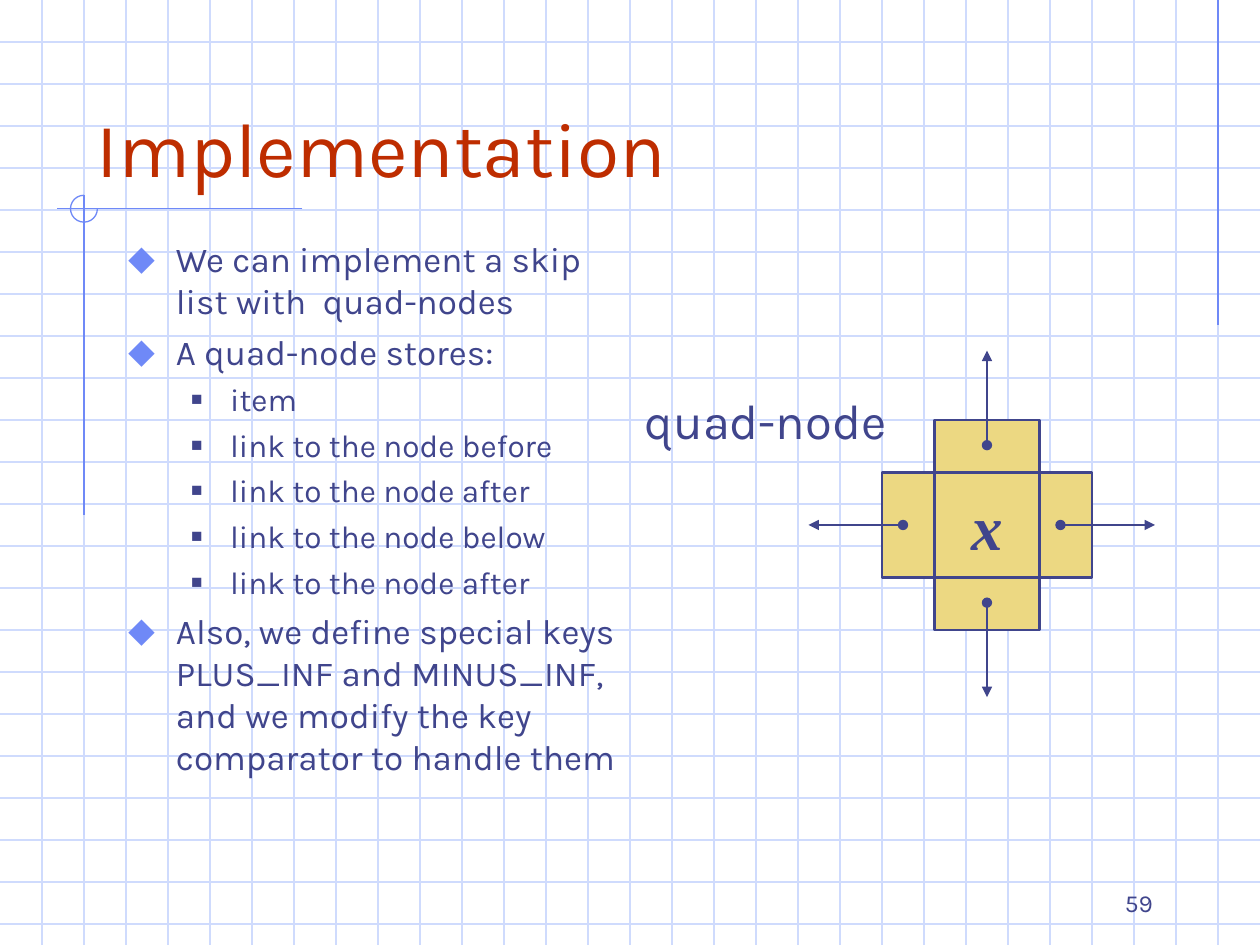
from dataclasses import dataclass
from typing import Any, NamedTuple

from lxml.etree import SubElement
from pptx import Presentation
from pptx.dml.color import RGBColor
from pptx.enum.shapes import MSO_CONNECTOR, MSO_SHAPE
from pptx.enum.text import MSO_ANCHOR, MSO_AUTO_SIZE, PP_ALIGN
from pptx.oxml.ns import qn
from pptx.util import Inches, Pt


@dataclass(frozen=True)
class Theme:
    grid: str = "CFDBFD"
    accent: str = "6F89F7"
    heading: str = "BE2D00"
    ink: str = "40458C"
    node: str = "ECD882"
    font: str = "Karla"
    symbol_font: str = "Times New Roman"
    title_size: float = 44
    symbol_size: float = 36
    label_size: float = 28
    number_size: float = 14
    thin: float = 0.75
    thick: float = 1.5


class Area(NamedTuple):
    column: float
    row: float
    columns: float
    rows: float


class Segment(NamedTuple):
    start: tuple[float, float]
    end: tuple[float, float]


class Level(NamedTuple):
    size: float
    indent: float
    hanging: float
    space: float
    bullet: str
    bullet_color: str
    bullet_percent: int


class Item(NamedTuple):
    text: str
    level: int = 0


THEME = Theme()
COLUMNS, ROWS = 30, 22.5
CELL = Inches(10) / COLUMNS

LEVELS = [
    Level(20, 0.38, 0.38, 5, "⬥", THEME.accent, 110),
    Level(18, 0.81, 0.31, 4.5, "■", THEME.ink, 60),
]
ITEMS = [
    Item("We can implement a skip list with  quad-nodes"),
    Item("A quad-node stores:"),
    Item("item", 1),
    Item("link to the node before", 1),
    Item("link to the node after", 1),
    Item("link to the node below", 1),
    Item("link to the node after", 1),
    Item("Also, we define special keys PLUS_INF and MINUS_INF, "
         "and we modify the key comparator to handle them"),
]
RULES = [
    Segment((29, 0), (29, 7.75)),
    Segment((7.2, 4.97), (1.35, 4.97)),
    Segment((2, 4.65), (2, 12.27)),
]
CENTER = (23.5, 12.5)
ARROW_LENGTH = 2.25
ARROW_STARTS = {(1, 0): 1.75, (-1, 0): 2, (0, -1): 1.9, (0, 1): 1.85}


def cells(*counts: float) -> list[int]:
    return [round(count * CELL) for count in counts]


def apply(target: Any, values: dict[str, Any]) -> None:
    for name, value in values.items():
        setattr(target, name, value)


def style_outline(shape: Any, color: str, width: float) -> None:
    shape.line.color.rgb = RGBColor.from_string(color)
    shape.line.width = Pt(width)


def draw_line(page: Any, segment: Segment, color: str, width: float, arrow: bool = False) -> None:
    line = page.shapes.add_connector(MSO_CONNECTOR.STRAIGHT, *cells(*segment.start, *segment.end))
    style_outline(line, color, width)
    if arrow:
        outline = line.line._get_or_add_ln()
        SubElement(outline, qn("a:headEnd"), type="oval")
        SubElement(outline, qn("a:tailEnd"), type="triangle")
    SubElement(line.element.spPr, qn("a:effectLst"))


def draw_shape(page: Any, kind: MSO_SHAPE, area: Area, adjustments: list[float],
               color: str, width: float, fill: str | None = None) -> Any:
    shape = page.shapes.add_shape(kind, *cells(*area))
    shape.shadow.inherit = False
    for index, value in enumerate(adjustments):
        shape.adjustments[index] = value
    if fill:
        shape.fill.solid()
        shape.fill.fore_color.rgb = RGBColor.from_string(fill)
    else:
        shape.fill.background()
    style_outline(shape, color, width)
    return shape


def write(para: Any, text: str, size: float, color: str = THEME.ink, **font: Any) -> None:
    span = para.add_run()
    span.text = text
    apply(span.font, {"name": THEME.font, "size": Pt(size), **font})
    span.font.color.rgb = RGBColor.from_string(color)


def format_frame(box: Any, anchor: MSO_ANCHOR, align: PP_ALIGN, wrap: bool = True) -> Any:
    frame = box.text_frame
    apply(frame, {"auto_size": MSO_AUTO_SIZE.NONE, "word_wrap": wrap, "vertical_anchor": anchor})
    frame.paragraphs[0].alignment = align
    return frame


def place(page: Any, placeholder: Any, area: Area) -> None:
    apply(placeholder, dict(zip(("left", "top", "width", "height"), cells(*area))))
    page.shapes.element.append(placeholder.element)


def add_label(page: Any, area: Area, text: str, size: float,
              anchor: MSO_ANCHOR, align: PP_ALIGN, wrap: bool) -> None:
    box = page.shapes.add_textbox(*cells(*area))
    write(format_frame(box, anchor, align, wrap).paragraphs[0], text, size)


def fill_list(body: Any, items: list[Item]) -> None:
    frame = format_frame(body, MSO_ANCHOR.TOP, PP_ALIGN.LEFT)
    for index, item in enumerate(items):
        level = LEVELS[item.level]
        para = frame.add_paragraph() if index else frame.paragraphs[0]
        para.level = item.level
        para.space_before = Pt(level.space if index else 0)
        properties = para._p.get_or_add_pPr()
        apply_indent = {"marL": level.indent, "indent": -level.hanging}
        for name, value in apply_indent.items():
            properties.set(name, str(Inches(value)))
        bullet_color = SubElement(properties, qn("a:buClr"))
        SubElement(bullet_color, qn("a:srgbClr"), val=level.bullet_color)
        SubElement(properties, qn("a:buSzPct"), val=str(level.bullet_percent * 1000))
        SubElement(properties, qn("a:buChar"), char=level.bullet)
        write(para, item.text, level.size)


def draw_background(page: Any) -> None:
    rows = [Segment((0, row), (COLUMNS, row)) for row in range(1, int(ROWS) + 1)]
    columns = [Segment((column, 0), (column, ROWS)) for column in range(1, COLUMNS)]
    for segment in rows + columns:
        draw_line(page, segment, THEME.grid, THEME.thin)
    for segment in RULES:
        draw_line(page, segment, THEME.accent, THEME.thin)
    draw_shape(page, MSO_SHAPE.ARC, Area(1.68, 4.65, 0.64, 0.64), [0, 162], THEME.accent, THEME.thin)


def draw_quad_node(page: Any) -> None:
    x, y = CENTER
    outline = (THEME.ink, THEME.thick, THEME.node)
    draw_shape(page, MSO_SHAPE.CROSS, Area(x - 2.5, y - 2.5, 5, 5), [0.25], *outline)
    core = draw_shape(page, MSO_SHAPE.RECTANGLE, Area(x - 1.25, y - 1.25, 2.5, 2.5), [], *outline)
    frame = format_frame(core, MSO_ANCHOR.MIDDLE, PP_ALIGN.CENTER, False)
    write(frame.paragraphs[0], "x", THEME.symbol_size, name=THEME.symbol_font, bold=True, italic=True)
    for (across, down), start in ARROW_STARTS.items():
        near, far = ((x + across * reach, y + down * reach) for reach in (start, start + ARROW_LENGTH))
        draw_line(page, Segment(near, far), THEME.ink, THEME.thick, arrow=True)


def main() -> None:
    deck = Presentation()
    apply(deck, {"slide_width": Inches(10), "slide_height": Inches(7.5)})
    page = deck.slides.add_slide(deck.slide_layouts[1])
    draw_background(page)

    title, body = page.shapes.title, page.placeholders[1]
    place(page, title, Area(2, 1, 25.5, 3.75))
    frame = format_frame(title, MSO_ANCHOR.BOTTOM, PP_ALIGN.LEFT)
    write(frame.paragraphs[0], "Implementation", THEME.title_size, THEME.heading)
    place(page, body, Area(2.75, 5.5, 12.5, 14.25))
    fill_list(body, ITEMS)

    draw_quad_node(page)
    add_label(page, Area(14.95, 9.15, 6.56, 1.7), "quad-node", THEME.label_size,
              MSO_ANCHOR.TOP, PP_ALIGN.CENTER, False)
    add_label(page, Area(21.5, 20.5, 6.25, 1.5), "59", THEME.number_size,
              MSO_ANCHOR.BOTTOM, PP_ALIGN.RIGHT, True)
    deck.save("out.pptx")


if __name__ == "__main__":
    main()
